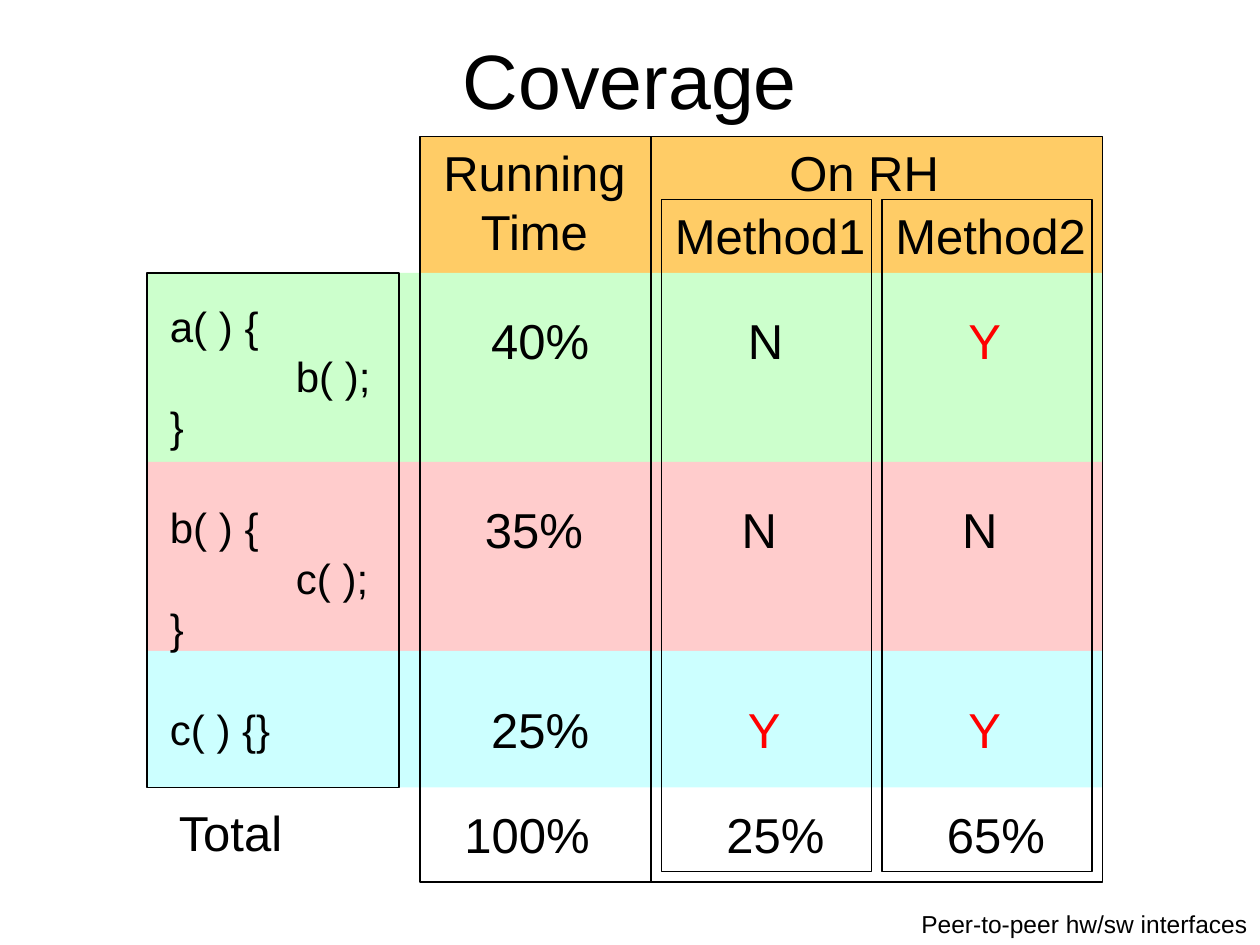
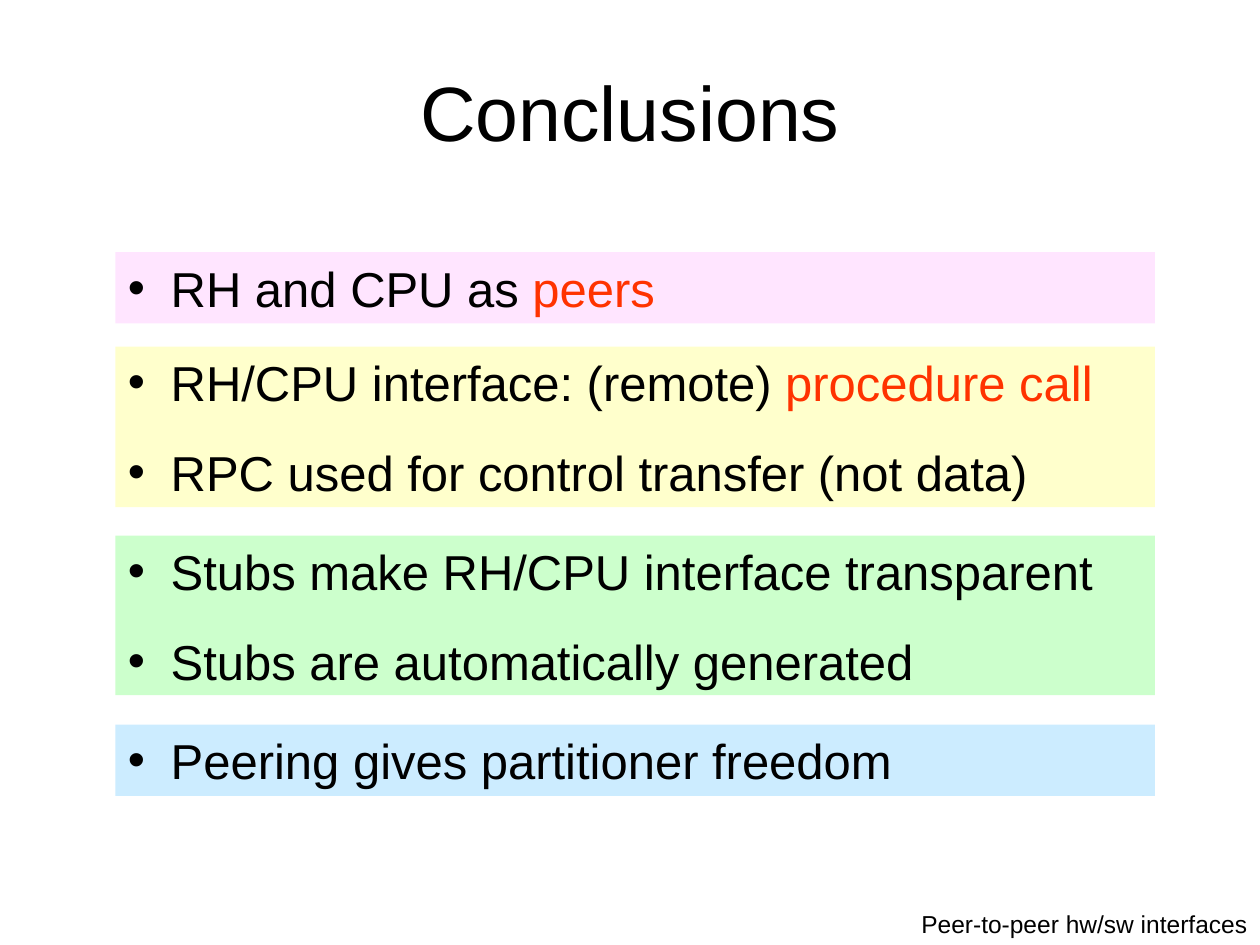
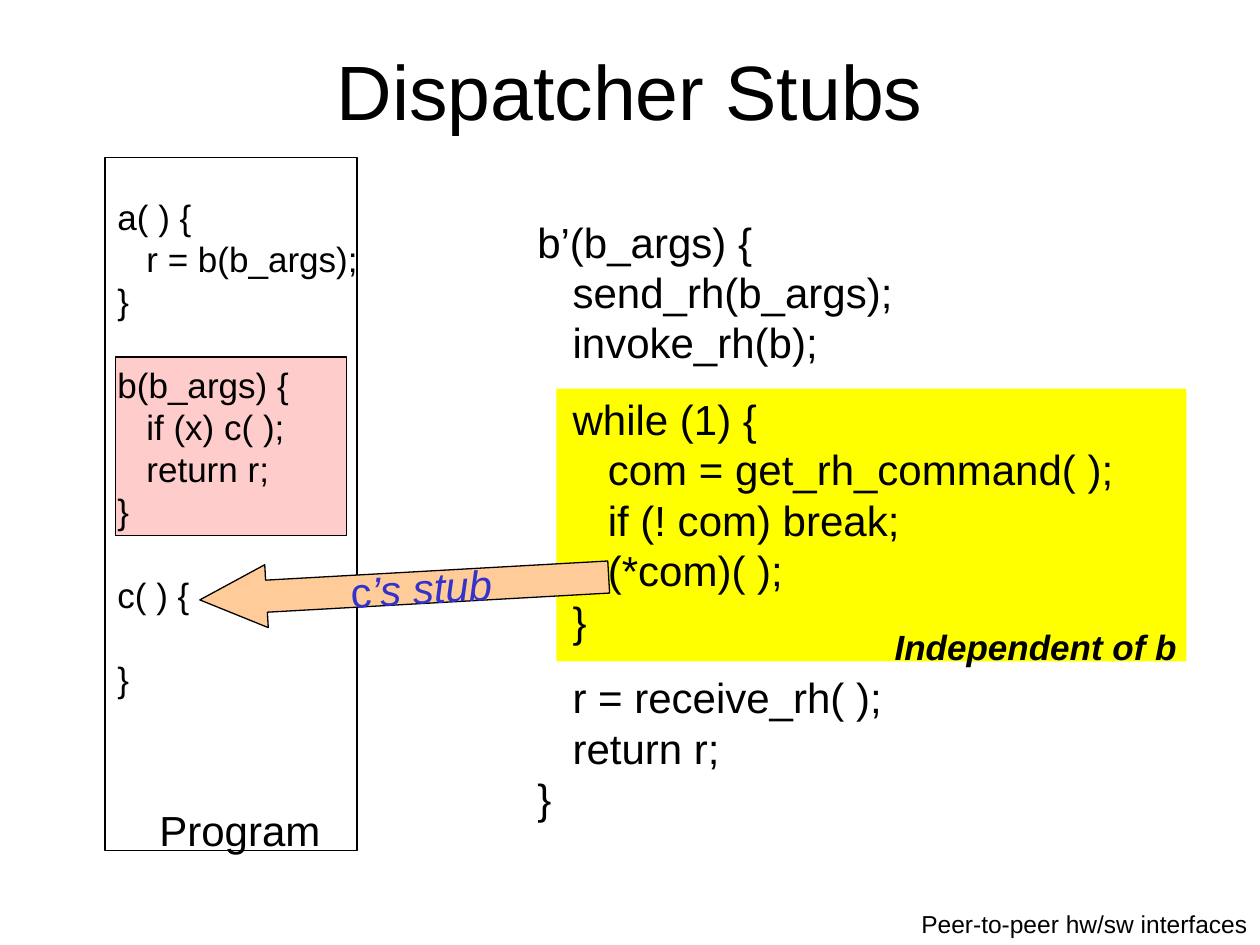
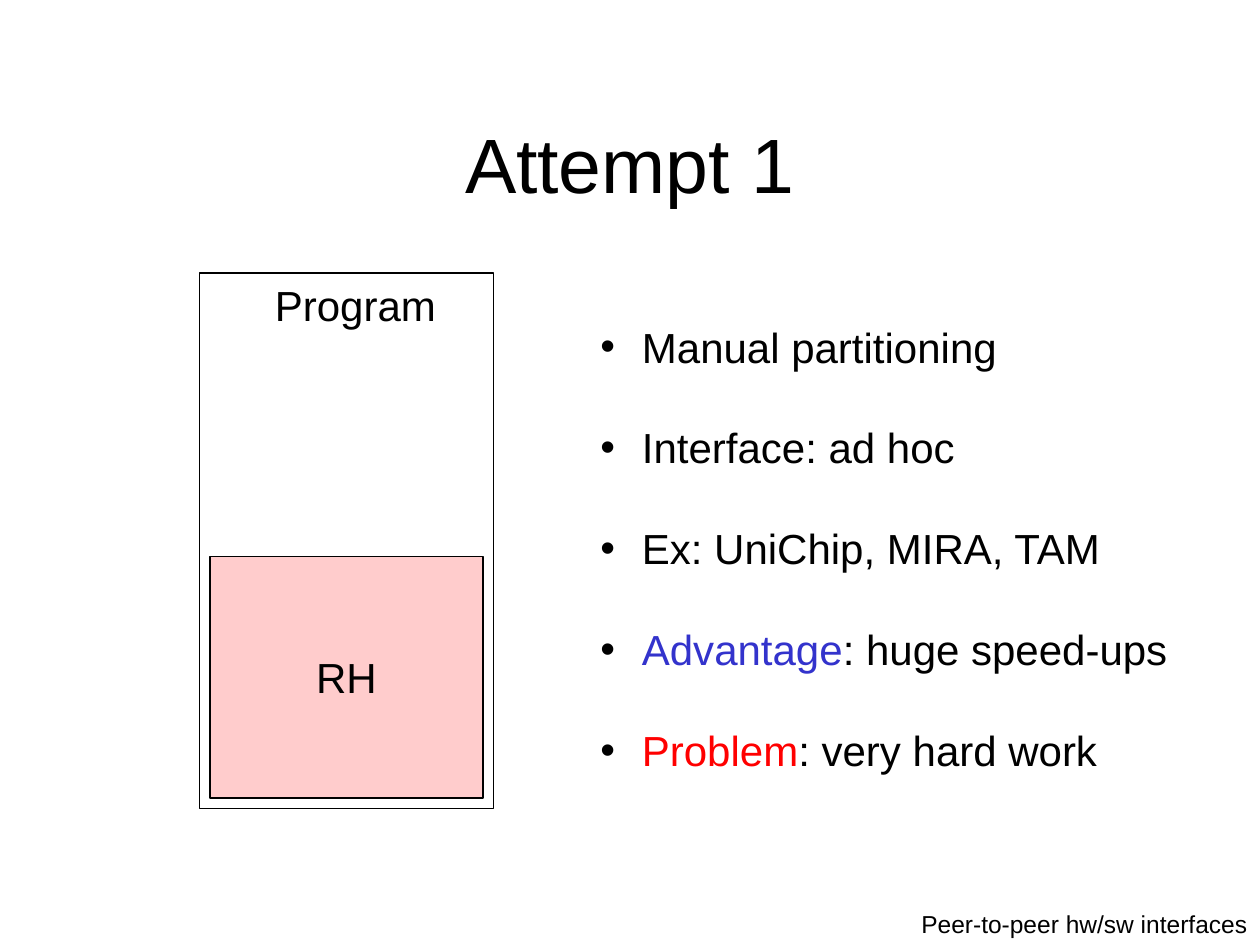
from lxml import etree
from pptx import Presentation
from pptx.dml.color import RGBColor
from pptx.enum.shapes import MSO_SHAPE
from pptx.enum.text import MSO_ANCHOR, PP_ALIGN
from pptx.oxml.ns import qn
from pptx.util import Inches, Pt

RECTANGLE, LEFT_ARROW = MSO_SHAPE.RECTANGLE, MSO_SHAPE.LEFT_ARROW
LEFT, CENTER, RIGHT = PP_ALIGN.LEFT, PP_ALIGN.CENTER, PP_ALIGN.RIGHT
TOP, MIDDLE = MSO_ANCHOR.TOP, MSO_ANCHOR.MIDDLE

FONT = "Arial"
BIG, MEDIUM, SMALL = 28, 24, 20
LINE_RATIO = 1.2
BLANK_LINE = MEDIUM * LINE_RATIO
COLUMNS, ROWS = 120, 90
COLORS = {
    "black": "000000", "red": "FF0000", "orange red": "FF3300", "blue": "3333CC",
    "orange": "FFCC66", "peach": "FFCC99", "green": "CCFFCC", "pink": "FFCCCC",
    "cyan": "CCFFFF", "sky": "CCECFF", "cream": "FFFFCC", "violet": "FFCCFF",
    "yellow": "FFFF00",
}
FOOTER = "Peer-to-peer hw/sw interfaces"

COVERAGE_BANDS = [
    ("orange", 40, 13, 65, 13),
    ("green", 14, 26, 91, 18),
    ("pink", 14, 44, 91, 18),
    ("cyan", 14, 62, 91, 13),
]
COVERAGE_FRAMES = [
    (14, 26, 24, 49), (40, 13, 22, 71), (62, 13, 43, 71),
    (63, 19, 20, 64), (84, 19, 20, 64),
]
COVERAGE_CODE = [
    (0, 0, "a( ) {"), (1, 0, "b( );"), (0, 0, "}"),
    (0, BLANK_LINE, "b( ) {"), (1, 0, "c( );"), (0, 0, "}"),
    (0, BLANK_LINE, "c( ) {}"),
]
COVERAGE_LABELS = [
    ("On RH", 74, 13, 16.6), ("Method1", 63.1, 19, 20.5),
    ("Method2", 84.1, 19, 20.5), ("Total", 15.85, 75.85, 12.7),
]
COVERAGE_VALUES = [
    (29, 45.6, 70.05, ("40%", "N", "Y")),
    (47, 45, 69.45, ("35%", "N", "N")),
    (66, 45.6, 70.05, ("25%", "Y", "Y")),
    (76, 43.05, 68, ("100%", "25%", "65%")),
]
VALUE_WIDTHS = {"N": 5.8, "Y": 5.5, "100%": 14.4}
PERCENT_WIDTH = 11.9
METHOD_STEP = 21

CONCLUSIONS = [
    ("violet", 24, 6.8, [[("RH and CPU as ", {}), ("peers", {"color": "orange red"})]]),
    ("cream", 33, 15.3, [
        [("RH/CPU interface: (remote) ", {}), ("procedure call", {"color": "orange red"})],
        "RPC used for control transfer (not data)"]),
    ("green", 51, 15.2, ["Stubs make RH/CPU interface transparent",
                         "Stubs are automatically generated"]),
    ("sky", 69, 6.8, ["Peering gives partitioner freedom"]),
]

PROGRAM_CODE = [
    (0, 0, "a( ) {"), (1, 0, "r = b(b_args);"), (0, 0, "}"),
    (0, SMALL * LINE_RATIO, "b(b_args) {"), (1, 0, "if (x) c( );"),
    (1, 0, "return r;"), (0, 0, "}"),
    (0, SMALL * LINE_RATIO, "c( ) {"), (0, SMALL * LINE_RATIO, "}"),
]
STUB_CODE = [
    (0, 0, "b’(b_args) {"), (1, 0, "send_rh(b_args);"), (1, 0, "invoke_rh(b);"),
    (1, 15, "while (1) {"), (2, 0, "com = get_rh_command( );"),
    (2, 0, "if (! com) break;"), (2, 0, "(*com)( );"), (1, 0, "}"),
    (1, 15, "r = receive_rh( );"), (1, 0, "return r;"), (0, 0, "}"),
]
ARROW_LABEL = [("c", {"color": "blue"}), ("’s stub", {"color": "blue", "italic": True})]

ATTEMPT_POINTS = [
    "Manual partitioning",
    "Interface: ad hoc",
    "Ex: UniChip, MIRA, TAM",
    [("Advantage", {"color": "blue"}), (": huge speed-ups", {})],
    [("Problem", {"color": "red"}), (": very hard work", {})],
]

deck = Presentation()
deck.slide_width, deck.slide_height = Inches(10), Inches(7.5)


def rgb(name):
    return RGBColor.from_string(COLORS[name])


def place(column, row, width, height):
    across, down = deck.slide_width / COLUMNS, deck.slide_height / ROWS
    return [round(n) for n in (column * across, row * down, width * across, height * down)]


def add_bullet(properties, hanging):
    properties.set("marL", str(Inches(hanging)))
    properties.set("indent", str(-Inches(hanging)))
    color = etree.SubElement(properties, qn("a:buClr"))
    etree.SubElement(color, qn("a:srgbClr"), val=COLORS["black"])
    etree.SubElement(properties, qn("a:buFont"), typeface=FONT)
    etree.SubElement(properties, qn("a:buChar"), char="•")


def write(box, lines, size, align=LEFT, anchor=TOP, wrap=True, step=0, hanging=0):
    frame = box.text_frame
    frame.word_wrap, frame.vertical_anchor = wrap, anchor
    for index, (depth, gap, content) in enumerate(lines):
        para = frame.paragraphs[0] if index == 0 else frame.add_paragraph()
        para.alignment = align
        para.line_spacing = Pt(size * LINE_RATIO)
        para.space_before = Pt(gap)
        runs = [(content, {})] if isinstance(content, str) else content
        for text, style in runs:
            span = para.add_run()
            span.text = text
            span.font.name, span.font.size = FONT, Pt(size)
            span.font.bold, span.font.italic = style.get("bold"), style.get("italic")
            span.font.color.rgb = rgb(style.get("color", "black"))
        properties = para._p.get_or_add_pPr()
        if depth:
            properties.set("marL", str(Inches(depth * step)))
        if hanging:
            add_bullet(properties, hanging)


def add_text(shapes, area, lines, size, **options):
    box = shapes.add_textbox(*place(*area))
    write(box, lines, size, **options)


def add_label(shapes, area, content, size, **options):
    add_text(shapes, area, [(0, 0, content)], size, wrap=False, **options)


def add_block(shapes, area, fill=None, outlined=False, kind=RECTANGLE):
    block = shapes.add_shape(kind, *place(*area))
    block.shadow.inherit = False
    if fill:
        block.fill.solid()
        block.fill.fore_color.rgb = rgb(fill)
    else:
        block.fill.background()
    if outlined:
        block.line.color.rgb = rgb("black")
        block.line.width = Pt(0.75)
    else:
        block.line.fill.background()
    return block


def bulleted(points, gap):
    return [(0, gap if index else 0, point) for index, point in enumerate(points)]


def add_page(title, row, height):
    page = deck.slides.add_slide(deck.slide_layouts[6])
    add_text(page.shapes, (9, row, 102, height), [(0, 0, title)], 44,
             align=CENTER, anchor=MIDDLE)
    add_text(page.shapes, (75, 86, 45, 4), [(0, 0, FOOTER)], 14, align=RIGHT)
    return page.shapes


def build_coverage():
    shapes = add_page("Coverage", 4, 7)
    for fill, *area in COVERAGE_BANDS:
        add_block(shapes, area, fill)
    for area in COVERAGE_FRAMES:
        add_block(shapes, area, outlined=True)
    add_text(shapes, (15, 28, 21.5, 44.4), COVERAGE_CODE, MEDIUM, wrap=False, step=1)
    add_text(shapes, (40.9, 13, 20, 12.5), [(0, 0, "Running"), (0, 0, "Time")], BIG,
             align=CENTER, wrap=False)
    for text, column, row, width in COVERAGE_LABELS:
        add_label(shapes, (column, row, width, 6.8), text, BIG)
    for row, time_column, method_column, values in COVERAGE_VALUES:
        columns = (time_column, method_column, method_column + METHOD_STEP)
        for column, value in zip(columns, values):
            color = "red" if value == "Y" else "black"
            add_label(shapes, (column, row, VALUE_WIDTHS.get(value, PERCENT_WIDTH), 6.8),
                      [(value, {"color": color})], BIG)


def build_conclusions():
    shapes = add_page("Conclusions", 6, 9)
    for fill, row, height, points in CONCLUSIONS:
        block = add_block(shapes, (11, row, 99, height), fill)
        write(block, bulleted(points, 17.5), BIG, hanging=0.34)
        if fill == "violet":
            color = block.fill._xPr.find(qn("a:solidFill"))[0]
            etree.SubElement(color, qn("a:alpha"), val="50000")


def build_dispatcher():
    shapes = add_page("Dispatcher Stubs", 5, 7)
    loop = shapes.add_group_shape().shapes
    add_block(loop, (53, 37, 60, 26), "yellow")
    add_label(loop, (84, 59, 29.3, 5.3),
              [("Independent of b", {"bold": True, "italic": True})], SMALL, align=CENTER)
    add_block(shapes, (10, 15, 24, 66), outlined=True)
    add_block(shapes, (11, 34, 22, 17), "pink", outlined=True)
    add_text(shapes, (10, 18, 27, 49.2), PROGRAM_CODE, SMALL, step=0.23)
    add_label(shapes, (14, 76, 17.8, 6), "Program", MEDIUM)
    add_text(shapes, (50, 20, 61, 59), STUB_CODE, MEDIUM, step=0.28)
    arrow = add_block(shapes, (19, 53.05, 39, 6), "peach", outlined=True, kind=LEFT_ARROW)
    arrow.adjustments[0], arrow.adjustments[1] = 0.51, 1.06
    arrow.rotation = 356.8
    write(arrow, [(0, 0, ARROW_LABEL)], MEDIUM, align=CENTER, anchor=MIDDLE, wrap=False)


def build_attempt():
    shapes = add_page("Attempt 1", 8, 15)
    add_block(shapes, (19, 26, 28, 51), outlined=True)
    add_text(shapes, (56, 30, 59, 44.4), bulleted(ATTEMPT_POINTS, BLANK_LINE), MEDIUM,
             hanging=0.33)
    hardware = add_block(shapes, (20, 53, 26, 23), "pink", outlined=True)
    write(hardware, [(0, 0, "RH")], MEDIUM, align=CENTER, anchor=MIDDLE, wrap=False)
    add_label(shapes, (25, 26, 17.8, 6), "Program", MEDIUM)


def main():
    build_coverage()
    build_conclusions()
    build_dispatcher()
    build_attempt()
    deck.save("out.pptx")


if __name__ == "__main__":
    main()
